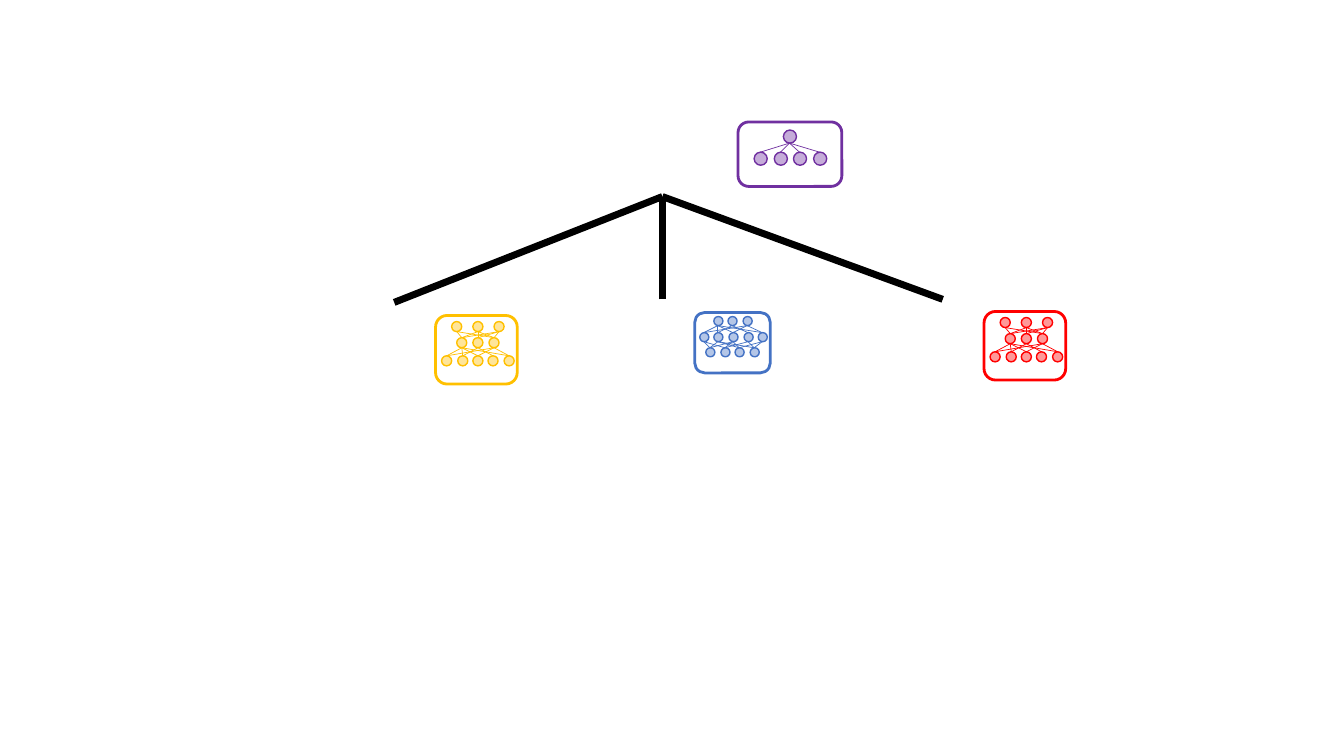
"""Draws a tree whose root and three leaves carry small neural networks."""
from lxml import etree
from pptx import Presentation, util as u
from pptx.dml.color import RGBColor
from pptx.enum import shapes
from pptx.oxml.ns import qn

PX = 9144
COLOURS = {"black": "000000", "white": "FFFFFF", "red": "FF0000",
           "yellow": "FFC000", "blue": "4472C4", "purple": "7030A0"}

FIVE_TO_THREE = [(0, 0), (1, 0), (1, 1), (2, 0), (0, 2),
                 (2, 2), (3, 1), (4, 2), (4, 0)]
THREE_TO_THREE = [(0, 0), (0, 1), (0, 2), (1, 2), (2, 1),
                  (1, 1), (2, 0), (2, 2)]
FOUR_TO_FIVE = [(0, 0), (0, 1), (1, 0), (1, 2), (2, 2), (2, 4),
                (3, 1), (3, 4), (3, 3), (1, 3), (2, 1), (0, 2)]
FOUR_TO_ONE = [(0, 0), (1, 0), (2, 0), (3, 0)]

# Each layer, from the bottom up: first left, last left, top, node count.
WIDE_BASE = {"size": (81, 68), "node": 10,
             "layers": [(6, 68, 40, 5), (21, 53, 22, 3), (16, 58, 6, 3)],
             "links": [FIVE_TO_THREE, THREE_TO_THREE]}
WIDE_MIDDLE = {"size": (75, 60), "node": 9,
               "layers": [(11, 55, 35, 4), (5, 63, 20, 5), (19, 48, 4, 3)],
               "links": [FOUR_TO_FIVE, FIVE_TO_THREE]}
ROOT = {"size": (103, 64), "node": 13,
        "layers": [(16, 75, 30, 4), (45, 45, 8, 1)],
        "links": [FOUR_TO_ONE]}
NETWORKS = [("red", 976, 309, WIDE_BASE), ("yellow", 432, 313, WIDE_BASE),
            ("blue", 689, 310, WIDE_MIDDLE), ("purple", 732, 121, ROOT)]


def add_line(parent, start, end, colour, width):
    line = parent.shapes.add_connector(
        shapes.MSO_CONNECTOR.STRAIGHT, *[value * PX for value in (*start, *end)])
    line.line.color.rgb = RGBColor.from_string(COLOURS[colour])
    line.line.width = u.Pt(width)
    etree.SubElement(line._element.spPr, qn("a:effectLst"))


def add_outlined(parent, kind, box, fill, colour, width):
    shape = parent.shapes.add_shape(kind, *[value * PX for value in box])
    shape.shadow.inherit = False
    shape.fill.solid()
    shape.fill.fore_color.rgb = RGBColor.from_string(COLOURS[fill])
    shape.line.color.rgb = RGBColor.from_string(COLOURS[colour])
    shape.line.width = u.Pt(width)
    return shape


presentation = Presentation()
presentation.slide_width = 1333 * PX
presentation.slide_height = 750 * PX
slide = presentation.slides.add_slide(presentation.slide_layouts[6])

for leaf in [(391, 300), (657, 297), (935, 297)]:
    add_line(slide, leaf, (657, 195), "black", 5)

for colour, left, top, network in NETWORKS:
    group = slide.shapes.add_group_shape()
    add_outlined(group, shapes.MSO_SHAPE.ROUNDED_RECTANGLE,
                 (left, top, *network["size"]), "white", colour, 2)
    node = network["node"]
    layers = []
    for first, last, drop, count in network["layers"]:
        gaps = max(count - 1, 1)
        layer = [(left + first + round((last - first) * index / gaps), top + drop)
                 for index in range(count)]
        layers.append(layer)
        for x, y in layer:
            circle = add_outlined(group, shapes.MSO_SHAPE.OVAL,
                                  (x, y, node, node), colour, colour, 1)
            tint = circle._element.spPr.find(qn("a:solidFill"))[0]
            etree.SubElement(tint, qn("a:alpha"), val="40000")
    for lower, upper, links in zip(layers, layers[1:], network["links"]):
        for below, above in links:
            start_x, start_y = lower[below]
            end_x, end_y = upper[above]
            add_line(group, (start_x + node // 2, start_y),
                     (end_x + node // 2, end_y + node), colour, 0.5)

presentation.save("out.pptx")
